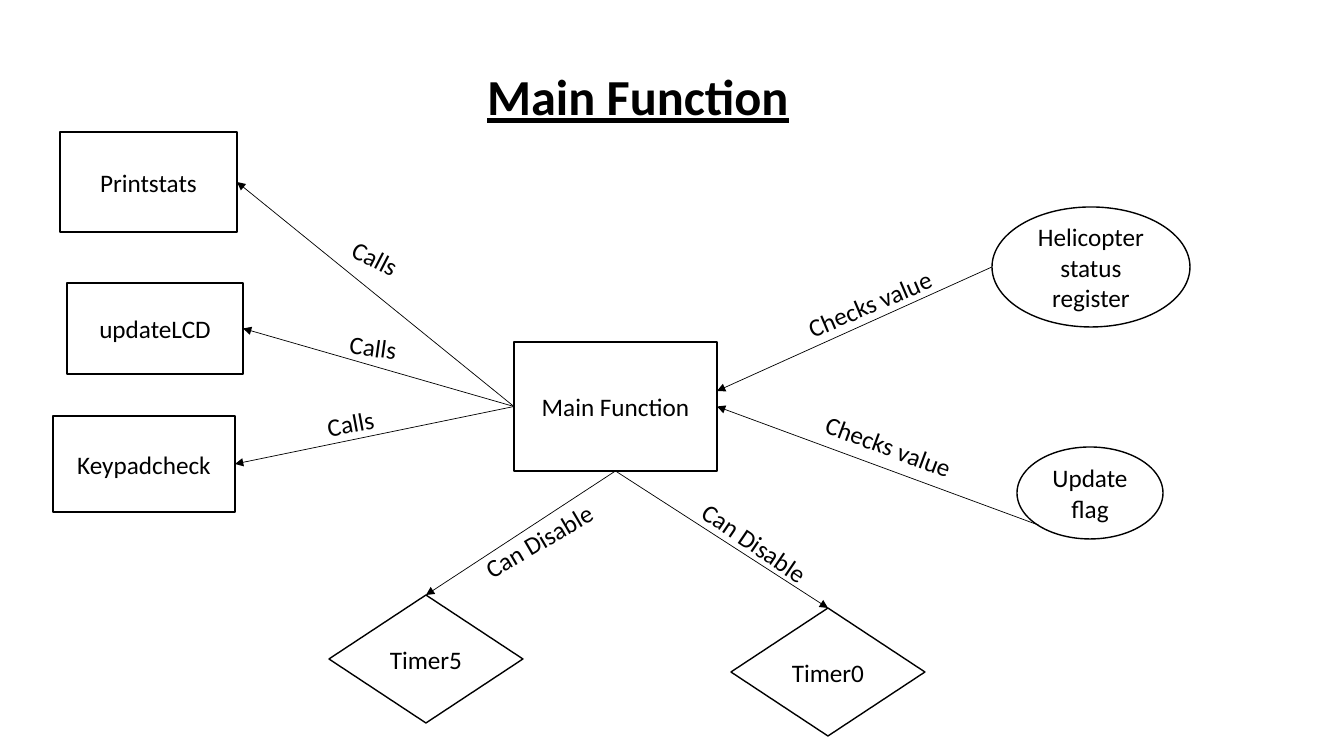
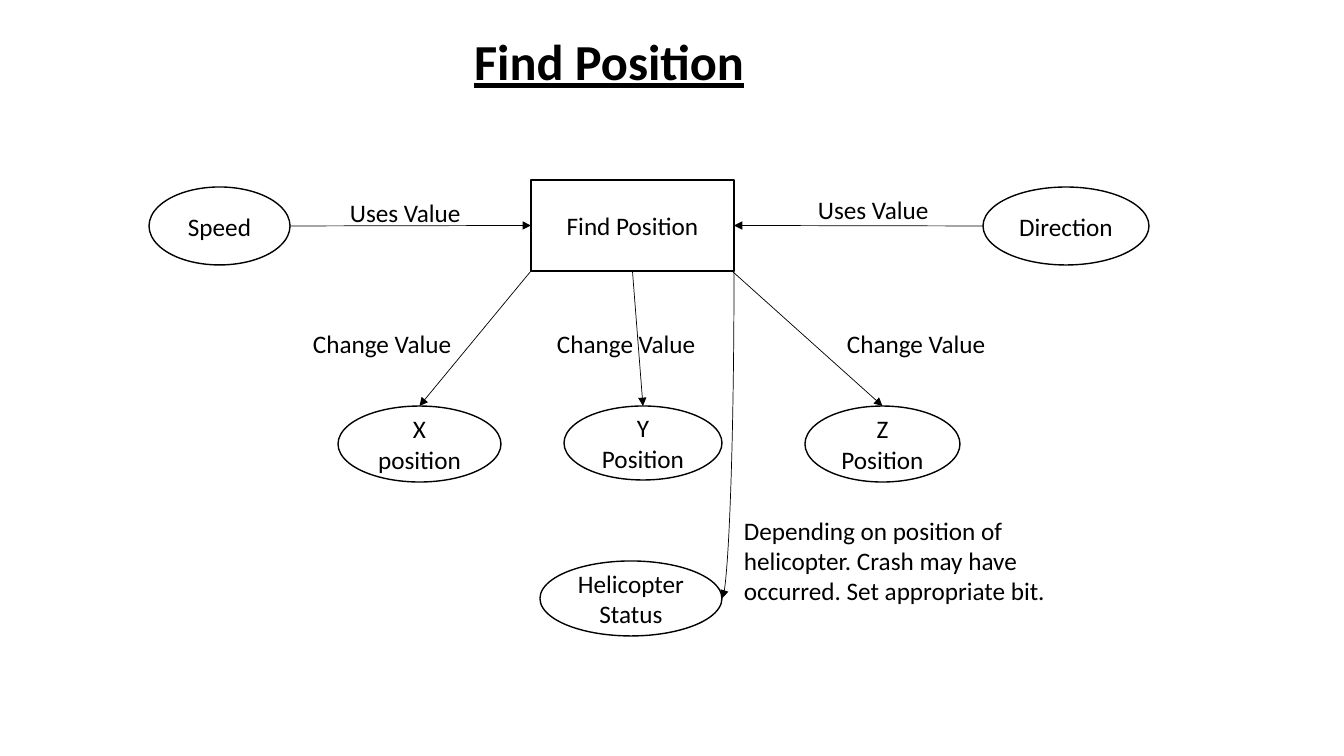
from pptx import Presentation
from pptx.dml.color import RGBColor
from pptx.enum.shapes import MSO_CONNECTOR as CONN, MSO_SHAPE as SHAPE
from pptx.enum.text import MSO_ANCHOR as ANCHOR, MSO_AUTO_SIZE as AUTO, PP_ALIGN as ALIGN
from pptx.oxml.ns import qn
from pptx.util import Pt
from lxml import etree

PX = 914400 / 100.8
FONT, BLACK, WHITE = "Calibri", "000000", "FFFFFF"
RECT, OVAL, DIAMOND = SHAPE.RECTANGLE, SHAPE.OVAL, SHAPE.DIAMOND

# Anchor points as fractions of a node's width and height
TOP, LEFT, BOTTOM, RIGHT = (0.5, 0), (0, 0.5), (0.5, 1), (1, 0.5)
SIDES = [TOP, LEFT, BOTTOM, RIGHT]


def color(hex_str):
    return RGBColor.from_string(hex_str)


def write(tf, text, size=18, align=ALIGN.LEFT, anchor=ANCHOR.TOP, wrap=True):
    tf.text = text
    tf.word_wrap = wrap
    tf.vertical_anchor = anchor
    p = tf.paragraphs[0]
    p.alignment = align
    font = p.runs[0].font
    font.name, font.size = FONT, Pt(size)
    font.color.rgb = color(BLACK)
    return font


# Each slide: title with its box, nodes, arrows between anchors, labels
slides = [
    {
        "title": ("Main Function", 477, 60, 326, 72),
        "nodes": {
            "Main Function": (RECT, 514, 342, 203, 129),
            "Printstats": (RECT, 60, 132, 177, 100),
            "updateLCD": (RECT, 67, 283, 176, 91),
            "Keypadcheck": (RECT, 53, 416, 182, 96),
            "Helicopter status register": (OVAL, 992, 207, 198, 120),
            "Update flag": (OVAL, 1017, 447, 146, 92),
            "Timer5": (DIAMOND, 329, 595, 194, 128),
            "Timer0": (DIAMOND, 731, 608, 194, 128),
        },
        "arrows": [
            ("Main Function", LEFT, "Printstats", RIGHT),
            ("Main Function", LEFT, "updateLCD", RIGHT),
            ("Main Function", LEFT, "Keypadcheck", RIGHT),
            ("Main Function", BOTTOM, "Timer5", TOP),
            ("Main Function", BOTTOM, "Timer0", TOP),
            ("Helicopter status register", LEFT, "Main Function", (1, 0.38)),
            ("Update flag", (0.15, 0.85), "Main Function", RIGHT),
        ],
        "curves": [],
        "labels": [
            ("Calls", 342, 238, 68, 27.2),
            ("Calls", 340, 327, 68, 8),
            ("Calls", 317, 403, 68, 349.4),
            ("Checks value", 794, 283, 153, 336.9),
            ("Checks value", 813, 427, 157, 20.4),
            ("Can Disable", 469, 520, 141, 329.6),
            ("Can Disable", 685, 523, 141, 34.2),
        ],
        "notes": [],
    },
    {
        "title": ("Find Position", 464, 25, 294, 72),
        "nodes": {
            "Find Position": (RECT, 531, 180, 203, 91),
            "Speed": (OVAL, 149, 187, 141, 78),
            "Direction": (OVAL, 983, 187, 166, 78),
            "X position": (OVAL, 338, 406, 163, 76),
            "Y Position": (OVAL, 564, 406, 158, 74),
            "Z Position": (OVAL, 805, 406, 155, 76),
            "Helicopter Status": (OVAL, 540, 561, 182, 75),
        },
        "arrows": [
            ("Speed", RIGHT, "Find Position", LEFT),
            ("Direction", LEFT, "Find Position", RIGHT),
            ("Find Position", (0, 1), "X position", TOP),
            ("Find Position", BOTTOM, "Y Position", TOP),
            ("Find Position", (0.99, 1), "Z Position", TOP),
        ],
        "curves": [("Find Position", (1, 1), "Helicopter Status", RIGHT)],
        "labels": [
            ("Uses Value", 340, 192, 132, 0),
            ("Uses Value", 808, 189, 132, 0),
            ("Change Value", 303, 323, 169, 0),
            ("Change Value", 547, 323, 169, 0),
            ("Change Value", 837, 323, 169, 0),
        ],
        "notes": [("Depending on position of helicopter. Crash may have occurred. "
                   "Set appropriate bit.", 734, 510, 349, 102)],
    },
]

prs = Presentation()
prs.slide_width, prs.slide_height = round(1344 * PX), round(756 * PX)

for page in slides:
    s = prs.slides.add_slide(prs.slide_layouts[5])

    # Title
    text, *box = page["title"]
    sp = s.shapes.title
    sp.left, sp.top, sp.width, sp.height = [round(v * PX) for v in box]
    font = write(sp.text_frame, text, size=36, wrap=False)
    font.bold = font.underline = True
    sp.text_frame.auto_size = AUTO.NONE

    # Nodes
    nodes = {}
    for text, (kind, *box) in page["nodes"].items():
        sp = s.shapes.add_shape(kind, *[round(v * PX) for v in box])
        sp.shadow.inherit = False
        sp.fill.solid()
        sp.fill.fore_color.rgb = color(WHITE)
        sp.line.color.rgb = color(BLACK)
        sp.line.width = Pt(1)
        write(sp.text_frame, text, align=ALIGN.CENTER, anchor=ANCHOR.MIDDLE)
        nodes[text] = sp

    # Arrows, glued to a node wherever they meet the middle of a side
    for arrow in page["arrows"] + page["curves"]:
        start, start_at, end, end_at = arrow
        a, b = nodes[start], nodes[end]
        x1, y1 = round(a.left + start_at[0] * a.width), round(a.top + start_at[1] * a.height)
        x2, y2 = round(b.left + end_at[0] * b.width), round(b.top + end_at[1] * b.height)
        if arrow in page["curves"]:
            # A quarter bend that leaves downwards: a box turned by 90 degrees
            w, h = y2 - y1, x1 - x2
            left, top = (x1 + x2 - w) // 2, (y1 + y2 - h) // 2
            c = s.shapes.add_connector(CONN.CURVE, left, top, left + w, top + h)
            sp_pr = c.element.spPr
            sp_pr.find(qn("a:prstGeom")).set("prst", "curvedConnector2")
            sp_pr.find(qn("a:xfrm")).set("rot", str(90 * 60000))
        else:
            c = s.shapes.add_connector(CONN.STRAIGHT, x1, y1, x2, y2)
            for node, at, connect in ((a, start_at, c.begin_connect), (b, end_at, c.end_connect)):
                if at in SIDES:
                    step = 2 if node.auto_shape_type == OVAL else 1  # ovals have eight sites
                    connect(node, SIDES.index(at) * step if step == 1 else 0)
                    if step == 2:
                        tag = "a:stCxn" if connect == c.begin_connect else "a:endCxn"
                        c.element.find(".//" + qn(tag)).set("idx", str(SIDES.index(at) * step))
            c.begin_x, c.begin_y, c.end_x, c.end_y = x1, y1, x2, y2
        c.line.color.rgb = color(BLACK)
        c.line.width = Pt(0.5)
        etree.SubElement(c.line._get_or_add_ln(), qn("a:tailEnd"), type="triangle")
        etree.SubElement(c.element.spPr, qn("a:effectLst"))

    # Labels along the arrows
    for text, x, y, w, angle in page["labels"]:
        sp = s.shapes.add_textbox(*[round(v * PX) for v in (x, y, w, 40)])
        sp.rotation = angle
        write(sp.text_frame, text, wrap=False)

    # Wrapped notes
    for text, *box in page["notes"]:
        sp = s.shapes.add_textbox(*[round(v * PX) for v in box])
        write(sp.text_frame, text)

prs.save("out.pptx")
